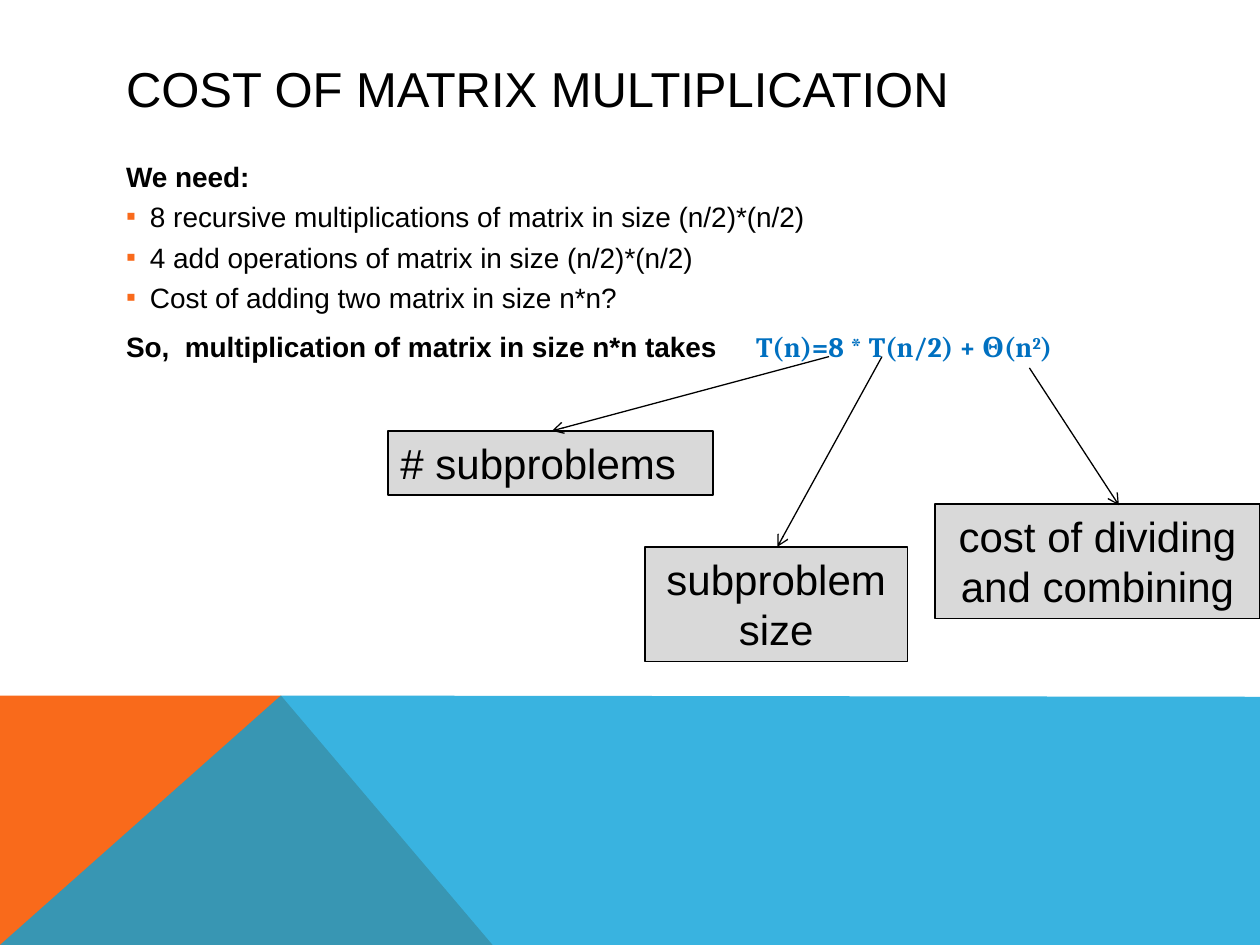
from lxml import etree
from pptx import Presentation
from pptx.dml.color import RGBColor as RGB
from pptx.enum.shapes import MSO_CONNECTOR as LINK, MSO_SHAPE as FORM
from pptx.enum.text import MSO_ANCHOR as ANCHOR, MSO_AUTO_SIZE as FIT, PP_ALIGN as ALIGN
from pptx.oxml.ns import qn
from pptx.util import Inches, Pt

HUES = {"ink": "000000", "orange": "F96A1B", "blue": "08A1D9",
        "math": "0070C0", "box": "D9D9D9"}


def hue(name):
    return RGB.from_string(HUES[name])


def sub(node, tag, **attrs):
    return etree.SubElement(node, qn(tag), attrs)


def write(para, text, size=16, font="Arial", color="ink", bold=False, base=None):
    run = para.add_run()
    run.text = text
    run.font.size = Pt(size)
    run.font.name = font
    run.font.bold = bold
    run.font.color.rgb = hue(color)
    if base:
        run.font._element.set("baseline", str(base * 1000))


class Deck:
    def __init__(self):
        self.prs = Presentation()
        self.prs.slide_width, self.prs.slide_height = Inches(10), Inches(7.5)
        self.slide = self.prs.slides.add_slide(self.prs.slide_layouts[1])
        self.shapes = self.slide.shapes

    def place(self, holder, left, top, width, height, anchor):
        holder.left, holder.top = Inches(left), Inches(top)
        holder.width, holder.height = Inches(width), Inches(height)
        frame = holder.text_frame
        frame.word_wrap, frame.auto_size = True, FIT.NONE
        frame.vertical_anchor = anchor
        return frame

    def title(self, text, *area):
        para = self.place(self.shapes.title, *area, ANCHOR.MIDDLE).paragraphs[0]
        para.alignment = ALIGN.LEFT
        write(para, text, size=28)

    def body(self, items, *area):
        frame = self.place(self.slide.placeholders[1], *area, ANCHOR.TOP)
        for i, (level, parts) in enumerate(items):
            para = frame.add_paragraph() if i else frame.paragraphs[0]
            para.level = level
            para.alignment = ALIGN.LEFT
            para.line_spacing = 1.05
            para.space_before = Pt(3 if level else 8)
            self.bullet(para, level)
            for text, style in parts:
                write(para, text, **style)

    def bullet(self, para, level):
        props = para._p.get_or_add_pPr()
        hang = Inches(0.19) if level else 0
        props.set("marL", str(hang))
        props.set("indent", str(-hang))
        if level:
            sub(sub(props, "a:buClr"), "a:srgbClr", val=HUES["orange"])
            sub(props, "a:buFont", typeface="Arial")
            sub(props, "a:buChar", char="▪")
        else:
            sub(props, "a:buNone")
            # The formula starts at a tab stop
            sub(sub(props, "a:tabLst"), "a:tab", pos=str(Inches(4.94)), algn="l")

    def patch(self, points, color, alpha=None):
        start, *rest = [(Inches(x), Inches(y)) for x, y in points]
        pen = self.shapes.build_freeform(*start)
        pen.add_line_segments(rest, close=True)
        shape = pen.convert_to_shape()
        shape.shadow.inherit = False
        shape.fill.solid()
        shape.fill.fore_color.rgb = hue(color)
        shape.line.fill.background()
        if alpha:
            tone = shape._element.spPr.find(".//" + qn("a:srgbClr"))
            sub(tone, "a:alpha", val=str(alpha * 1000))
        # Background goes behind the text
        self.shapes.title._element.addprevious(shape._element)

    def box(self, lines, left, top, width, height, align=ALIGN.CENTER):
        shape = self.shapes.add_shape(FORM.RECTANGLE, Inches(left), Inches(top),
                                      Inches(width), Inches(height))
        shape.shadow.inherit = False
        shape.fill.solid()
        shape.fill.fore_color.rgb = hue("box")
        shape.line.color.rgb = hue("ink")
        shape.line.width = Pt(0.75)
        frame = shape.text_frame
        frame.word_wrap, frame.auto_size = True, FIT.SHAPE_TO_FIT_TEXT
        frame.vertical_anchor = ANCHOR.TOP
        for i, line in enumerate(lines):
            para = frame.add_paragraph() if i else frame.paragraphs[0]
            para.alignment = align
            write(para, line, size=24)

    def arrow(self, *ends):
        link = self.shapes.add_connector(LINK.STRAIGHT, *map(Inches, ends))
        link.line.color.rgb = hue("ink")
        link.line.width = Pt(0.75)
        sub(link.line._get_or_add_ln(), "a:tailEnd", type="arrow")
        sub(link._element.spPr, "a:effectLst")


def main():
    deck = Deck()

    # Coloured footer
    deck.patch([(0, 7.5), (0, 5.52), (2.23, 5.52), (3.91, 7.5)], "orange")
    deck.patch([(0, 7.5), (2.23, 5.52), (10, 5.53), (10, 7.5)], "blue", alpha=80)

    # Title and list
    deck.title("COST OF MATRIX MULTIPLICATION", 0.9, 0.4, 8.22, 0.6)
    bold = {"bold": True}
    math = {"bold": True, "font": "Cambria", "color": "math"}
    points = ["8 recursive multiplications of matrix in size (n/2)*(n/2)",
              "4 add operations of matrix in size (n/2)*(n/2)",
              "Cost of adding two matrix in size n*n?"]
    deck.body([(0, [("We need:", bold)]),
               *[(1, [(text, {})]) for text in points],
               (0, [("So,  multiplication of matrix in size n*n takes\t", bold),
                    ("T(n)=8 * T(n/2) + Θ(n", math),
                    ("2", {**math, "base": 30}),
                    (")", math)])],
              0.9, 1.2, 7.93, 1.96)

    # Parts of the formula, each with its arrow
    deck.box(["# subproblems"], 3.08, 3.42, 2.58, 0.51, align=ALIGN.LEFT)
    deck.arrow(6.58, 2.83, 4.38, 3.42)
    deck.box(["subproblem", "size"], 5.12, 4.34, 2.08, 0.91)
    deck.arrow(7, 2.83, 6.17, 4.34)
    deck.box(["cost of dividing and combining"], 7.42, 4, 2.58, 0.91)
    deck.arrow(8.17, 2.92, 8.88, 4.01)

    deck.prs.save("out.pptx")


if __name__ == "__main__":
    main()
